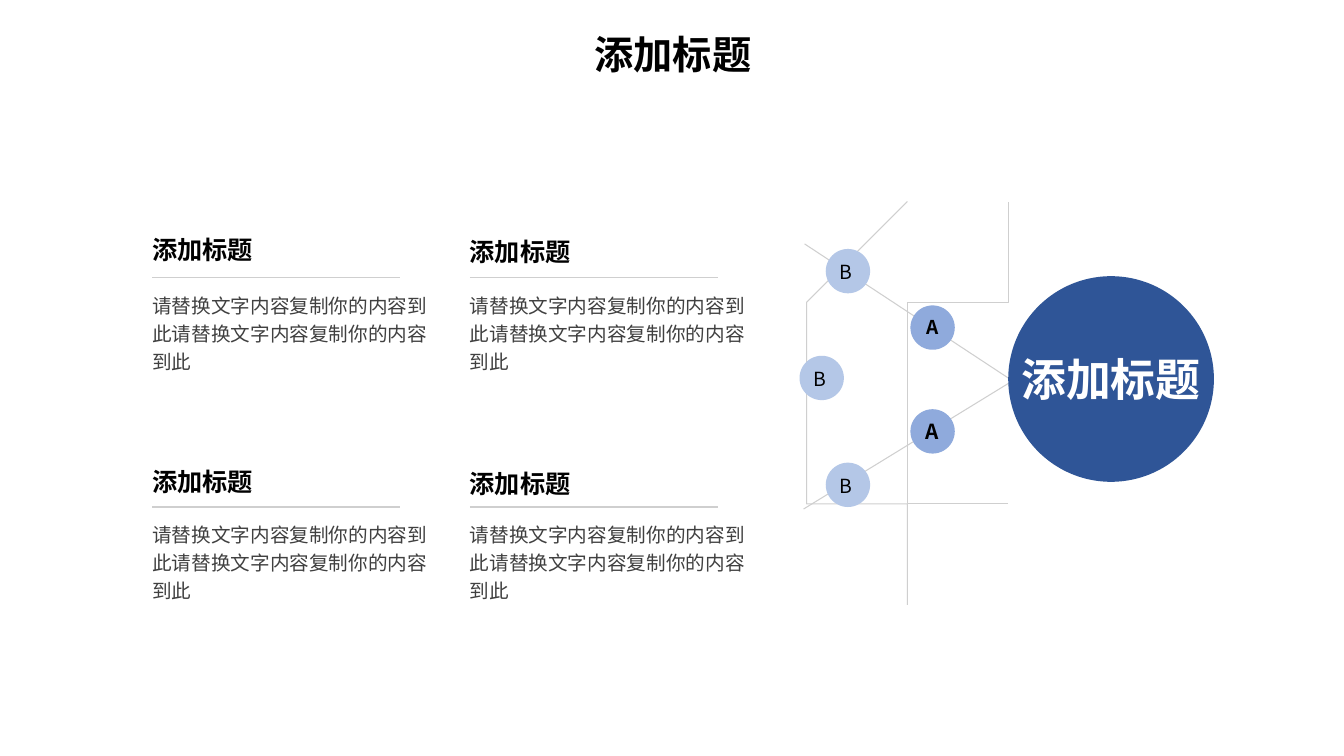
from dataclasses import dataclass

from lxml.etree import SubElement
from pptx import Presentation
from pptx.dml.color import RGBColor
from pptx.enum.shapes import MSO_CONNECTOR, MSO_SHAPE
from pptx.enum.text import MSO_ANCHOR, PP_ALIGN
from pptx.oxml.ns import qn
from pptx.util import Inches, Pt


@dataclass(frozen=True)
class Theme:
    font: str = "Noto Sans CJK SC"
    ink: str = "000000"
    body: str = "404040"
    white: str = "FFFFFF"
    rule: str = "CFCFCF"
    hub: str = "2F5597"
    inner: str = "8FAADC"
    outer: str = "B4C7E7"
    rule_width: float = 0.75
    title_size: float = 28
    hub_size: float = 32
    heading_size: float = 18
    body_size: float = 14
    outer_size: float = 13.9


THEME = Theme()
HEADING = "添加标题"
BODY = "请替换文字内容复制你的内容到此" * 2
NODE = 0.44


def write(shape, text, size, color, bold=False, align=PP_ALIGN.LEFT,
          anchor=MSO_ANCHOR.MIDDLE, margins=(0, 0), spacing=None, wrap=True):
    frame = shape.text_frame
    frame.word_wrap = wrap
    frame.vertical_anchor = anchor
    frame.margin_left = frame.margin_right = Inches(margins[0])
    frame.margin_top = frame.margin_bottom = Inches(margins[1])
    para = frame.paragraphs[0]
    para.add_run().text = text
    para.alignment = align
    if spacing:
        para.line_spacing = spacing
    font = para.font
    font.size = Pt(size)
    font.bold = bold
    font.color.rgb = RGBColor.from_string(color)
    font.name = THEME.font
    properties = para._p.pPr.find(qn("a:defRPr"))
    SubElement(properties, qn("a:ea")).set("typeface", THEME.font)


def add_text(shapes, left, top, width, height, *content, **style):
    box = shapes.add_textbox(Inches(left), Inches(top), Inches(width), Inches(height))
    write(box, *content, **style)


def style_line(line):
    line.color.rgb = RGBColor.from_string(THEME.rule)
    line.width = Pt(THEME.rule_width)


def add_line(shapes, start, end):
    line = shapes.add_connector(MSO_CONNECTOR.STRAIGHT, *map(Inches, (*start, *end)))
    style_line(line.line)
    SubElement(line._element.spPr, qn("a:effectLst"))


def add_arc(shapes, controls, steps=40):
    def point(t):
        weights = ((1 - t) ** 3, 3 * t * (1 - t) ** 2, 3 * t * t * (1 - t), t ** 3)
        return tuple(sum(w * c[axis] for w, c in zip(weights, controls)) for axis in (0, 1))

    points = [point(step / steps) for step in range(steps + 1)]
    builder = shapes.build_freeform(*points[0], scale=Inches(1))
    builder.add_line_segments(points[1:], close=False)
    arc = builder.convert_to_shape()
    arc.fill.background()
    style_line(arc.line)
    arc.shadow.inherit = False


def add_circle(shapes, left, top, size, color):
    circle = shapes.add_shape(MSO_SHAPE.OVAL, *map(Inches, (left, top, size, size)))
    circle.fill.solid()
    circle.fill.fore_color.rgb = RGBColor.from_string(color)
    circle.line.fill.background()
    circle.shadow.inherit = False
    return circle


def add_title(page, left, top, width, height):
    add_text(page.shapes, left, top, width, height, HEADING, THEME.title_size, THEME.ink,
             bold=True, align=PP_ALIGN.CENTER, anchor=MSO_ANCHOR.TOP, margins=(0.1, 0.05))


def add_text_block(page, left, top, width, heading_top, body_top):
    shapes = page.shapes.add_group_shape().shapes
    add_text(shapes, left, top + body_top, width, 1.23, BODY, THEME.body_size, THEME.body,
             anchor=MSO_ANCHOR.TOP, spacing=1.2)
    add_text(shapes, left, top + heading_top, width, 0.5, HEADING, THEME.heading_size,
             THEME.ink, bold=True, align=PP_ALIGN.JUSTIFY, spacing=1.2)
    add_line(shapes, (left, top), (left + 2.46, top))


def add_diagram(page, left, top):
    shapes = page.shapes.add_group_shape().shapes

    def at(x, y):
        return left + x, top + y

    arcs = (((1.87, 3.07), (1.1, 2.28), (1.04, 1.43), (1.7, 0.51)),
            ((1.18, 3.82), (0.03, 2.65), (-0.08, 1.38), (0.88, 0)))
    for controls in arcs:
        add_arc(shapes, [at(*control) for control in controls])
    add_line(shapes, at(0.05, 0.44), at(2.1, 1.79))
    add_line(shapes, at(2.11, 1.8), at(0.04, 3.07))

    inner_nodes = ((1.1, 1.05, 13.6), (1.1, 2.08, 14.8))
    outer_nodes = ((0.26, 0.49), (0, 1.55), (0.26, 2.61))
    for x, y, size in inner_nodes:
        add_circle(shapes, *at(x, y), NODE, THEME.inner)
        add_text(shapes, *at(x + 0.05, y + 0.09), 0.34, 0.25, "A", size, THEME.ink,
                 bold=True, align=PP_ALIGN.CENTER, margins=(0.03, 0.03))
    for x, y in outer_nodes:
        add_circle(shapes, *at(x, y), NODE, THEME.outer)
        add_text(shapes, *at(x + 0.11, y + 0.1), 0.34, 0.25, "B", THEME.outer_size,
                 THEME.ink, margins=(0.03, 0.03))

    hub = add_circle(shapes, *at(2.07, 0.76), 2.04, THEME.hub)
    write(hub, HEADING, THEME.hub_size, THEME.white, bold=True, align=PP_ALIGN.CENTER,
          margins=(0.02, 0.02), wrap=False)


def main():
    deck = Presentation()
    deck.slide_width, deck.slide_height = Inches(13.33), Inches(7.5)
    page = deck.slides.add_slide(deck.slide_layouts[6])
    add_diagram(page, 7.93, 1.98)
    for left, nudge in ((1.51, 0), (4.66, 0.02)):
        for top, heading_top, body_top in ((2.75, -0.56, 0.12), (5.03, -0.53, 0.11)):
            add_text_block(page, left, top, 2.77, heading_top + nudge, body_top)
    add_title(page, 0.01, 0.25, 13.33, 0.57)
    deck.save("out.pptx")


if __name__ == "__main__":
    main()
